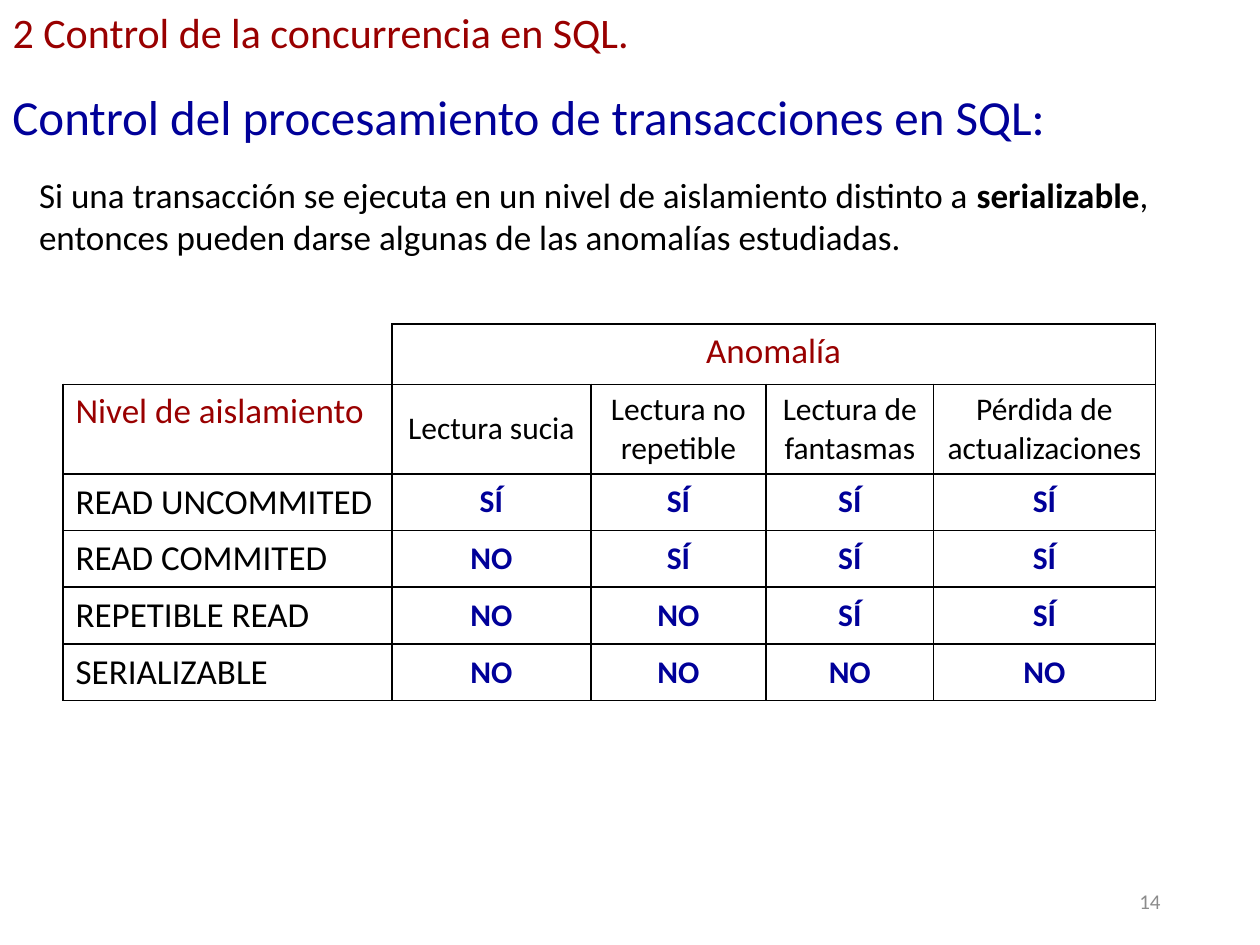
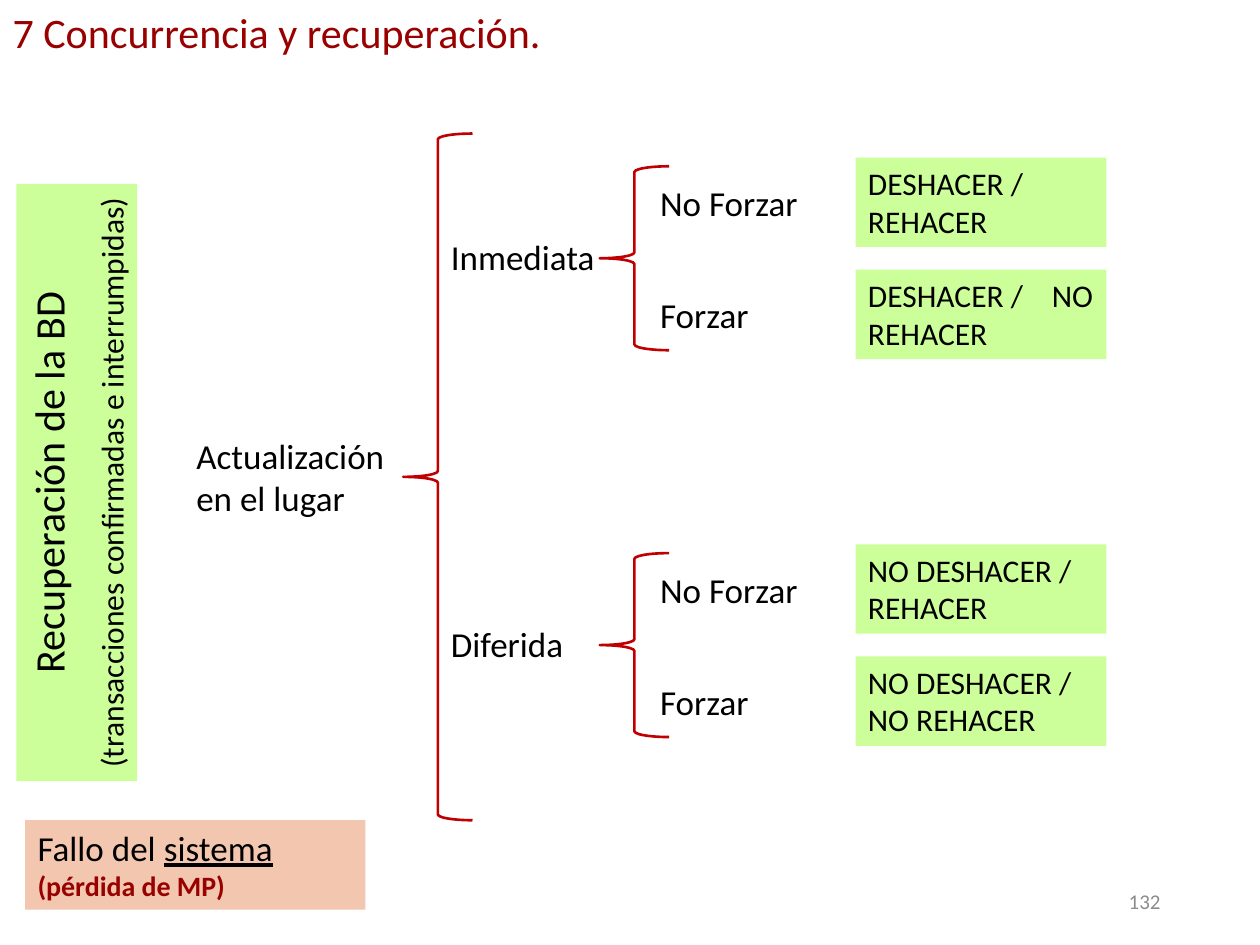
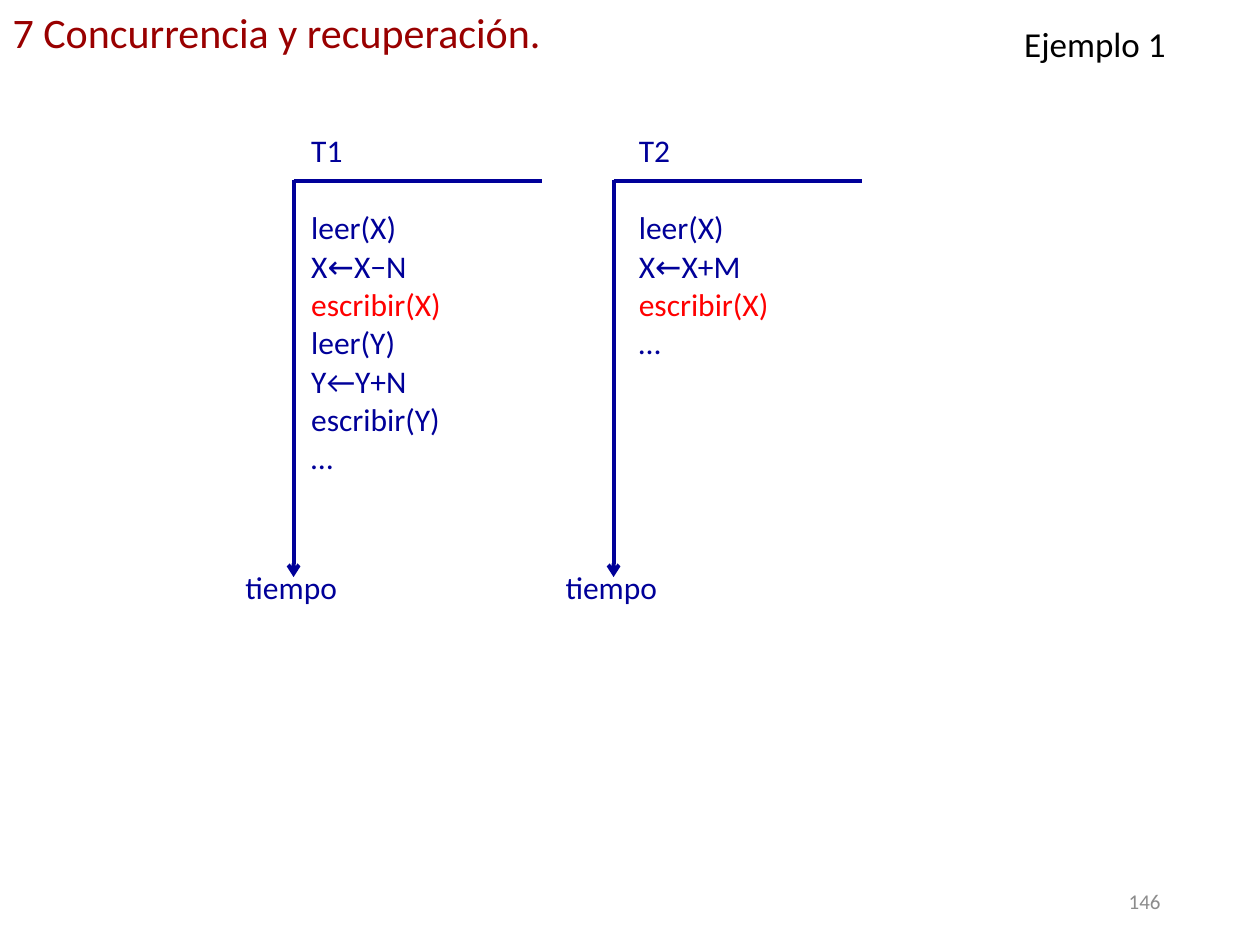
from dataclasses import dataclass

from lxml import etree
from pptx import Presentation
from pptx import util as u
from pptx.dml.color import RGBColor
from pptx.enum import shapes, text
from pptx.oxml import ns

Inches = u.Inches
ALIGN, ANCHOR = text.PP_ALIGN, text.MSO_ANCHOR
TITLE_AND_CONTENT, TWO_CONTENT, TITLE_ONLY = 1, 3, 5


@dataclass(frozen=True)
class Theme:
    font: str = "Calibri"
    arrow_font: str = "Comic Neue"
    black: str = "000000"
    white: str = "FFFFFF"
    dark_red: str = "990000"
    brace_red: str = "C00000"
    bright_red: str = "FF0000"
    blue: str = "000099"
    gray: str = "8C8C8C"
    green: str = "CCFF99"
    salmon: str = "F3C6AF"
    heading: float = 28
    title: float = 24
    body: float = 20
    detail: float = 18
    note: float = 16
    number: float = 12


THEME = Theme()


def add_xml(parent, tag, **attributes):
    return etree.SubElement(parent, ns.qn(tag), attributes)


def format_run(run, size, color, bold=False, underline=False, font=THEME.font):
    run.font.name = font
    run.font.size = u.Pt(size)
    run.font.color.rgb = RGBColor.from_string(color)
    run.font.bold = bold
    run.font.underline = underline


def write(frame, paragraphs, size=THEME.body, color=THEME.black, bold=False,
          align=ALIGN.LEFT, anchor=ANCHOR.TOP, margin=0.1, bullets_off=False, tab=None):
    """Fill a frame. A paragraph is a string, or (runs, space before in points);
    a run is a string or (string, format changes); a newline breaks the line."""
    frame.word_wrap = True
    frame.auto_size = text.MSO_AUTO_SIZE.NONE
    frame.vertical_anchor = anchor
    frame.margin_left = frame.margin_right = Inches(margin)
    frame.margin_top = frame.margin_bottom = Inches(0.05)
    for index, item in enumerate(paragraphs):
        runs, space_before = ([item], 0) if isinstance(item, str) else item
        paragraph = frame.add_paragraph() if index else frame.paragraphs[0]
        paragraph.alignment = align
        paragraph.space_before = u.Pt(space_before)
        properties = paragraph._p.get_or_add_pPr()
        if bullets_off:
            properties.set("marL", "0")
            properties.set("indent", "0")
            add_xml(properties, "a:buNone")
        if tab:
            tabs = add_xml(properties, "a:tabLst")
            add_xml(tabs, "a:tab", pos=str(Inches(tab)), algn="l")
        for part in runs:
            content, changes = (part, {}) if isinstance(part, str) else part
            for line_index, line in enumerate(content.split("\n")):
                if line_index:
                    paragraph.add_line_break()
                if line:
                    run = paragraph.add_run()
                    run.text = line
                    format_run(run, **{"size": size, "color": color, "bold": bold, **changes})


def set_borders(cell, sides):
    properties = cell._tc.get_or_add_tcPr()
    for side in "LRTB":
        line = add_xml(properties, f"a:ln{side}", w=str(u.Pt(1)))
        if side in sides:
            add_xml(add_xml(line, "a:solidFill"), "a:srgbClr", val=THEME.black)
        else:
            add_xml(line, "a:noFill")


class Deck:
    def __init__(self):
        self.presentation = Presentation()
        self.presentation.slide_width = Inches(10)
        self.presentation.slide_height = Inches(7.5)
        self.slide = None

    def start(self, title, number, layout=TITLE_ONLY):
        self.slide = self.presentation.slides.add_slide(
            self.presentation.slide_layouts[layout])
        self.place(self.slide.shapes.title, (0, 0, 5.15, 0.5))
        write(self.slide.shapes.title.text_frame, [title], THEME.title, THEME.dark_red)
        self.label((7.06, 6.95, 2.25, 0.4), [str(number)], size=THEME.number,
                   color=THEME.gray, align=ALIGN.RIGHT, anchor=ANCHOR.MIDDLE)

    def place(self, shape, box):
        shape.left, shape.top, shape.width, shape.height = map(Inches, box)

    def label(self, box, paragraphs, **style):
        shape = self.slide.shapes.add_textbox(*map(Inches, box))
        write(shape.text_frame, paragraphs, **style)

    def body(self, index, box, paragraphs, **style):
        shape = self.slide.placeholders[index]
        self.place(shape, box)
        write(shape.text_frame, paragraphs, bullets_off=True, **style)

    def panel(self, box, paragraphs, fill, rotation=0, **style):
        shape = self.slide.shapes.add_shape(
            shapes.MSO_SHAPE.RECTANGLE, *map(Inches, box))
        shape.shadow.inherit = False
        shape.fill.solid()
        shape.fill.fore_color.rgb = RGBColor.from_string(fill)
        shape.line.fill.background()
        shape.rotation = rotation
        write(shape.text_frame, paragraphs, **style)

    def brace(self, box):
        shape = self.slide.shapes.add_shape(
            shapes.MSO_SHAPE.LEFT_BRACE, *map(Inches, box))
        shape.shadow.inherit = False
        shape.fill.background()
        shape.line.color.rgb = RGBColor.from_string(THEME.brace_red)
        shape.line.width = u.Pt(1.5)

    def line(self, start, end, arrow=False):
        connector = self.slide.shapes.add_connector(
            shapes.MSO_CONNECTOR.STRAIGHT, *map(Inches, (*start, *end)))
        connector.line.color.rgb = RGBColor.from_string(THEME.blue)
        connector.line.width = u.Pt(2.25)
        if arrow:
            add_xml(connector.line._get_or_add_ln(), "a:tailEnd", type="arrow")
        add_xml(connector._element.spPr, "a:effectLst")

    def table(self, left, top, widths, heights):
        """Add a plain ruled table whose top left corner cell is open."""
        frame = self.slide.shapes.add_table(
            len(heights), len(widths),
            *map(Inches, (left, top, sum(widths), sum(heights))))
        table = frame.table
        table.first_row = table.horz_banding = False
        for column, width in zip(table.columns, widths):
            column.width = Inches(width)
        for row, height in zip(table.rows, heights):
            row.height = Inches(height)
        for index, cell in enumerate(table.iter_cells()):
            set_borders(cell, "LRTB" if index else "RB")
            cell.fill.background()
        return table


def write_cell(cell, content, anchor=ANCHOR.MIDDLE, **style):
    write(cell.text_frame, [content], **style)
    cell.vertical_anchor = anchor


def build_isolation_slide(deck):
    deck.start("2 Control de la concurrencia en SQL.", 14, TITLE_AND_CONTENT)
    deck.body(1, (0.21, 1.33, 9.51, 0.77), [([
        "Si una transacción se ejecuta en un nivel de aislamiento distinto a ",
        ("serializable", {"bold": True}),
        ", entonces pueden darse algunas de las anomalías estudiadas."], 0)])
    deck.label((0, 0.64, 9.29, 0.57),
               ["Control del procesamiento de transacciones en SQL:"],
               size=THEME.heading, color=THEME.blue)

    table = deck.table(0.5, 2.57, [2.61, 1.58, 1.39, 1.33, 1.76],
                       [0.48, 0.7] + [0.45] * 4)
    table.cell(0, 1).merge(table.cell(0, 4))
    write_cell(table.cell(0, 1), "Anomalía", ANCHOR.TOP,
               color=THEME.dark_red, align=ALIGN.CENTER)
    write_cell(table.cell(1, 0), "Nivel de aislamiento", ANCHOR.TOP, color=THEME.dark_red)
    anomalies = ["Lectura sucia", "Lectura no\nrepetible", "Lectura de\nfantasmas",
                 "Pérdida de actualizaciones"]
    for column, anomaly in enumerate(anomalies, 1):
        write_cell(table.cell(1, column), anomaly, size=THEME.detail, align=ALIGN.CENTER)
    levels = ["READ UNCOMMITED", "READ COMMITED", "REPETIBLE READ", "SERIALIZABLE"]
    prevented_counts = [0, 1, 2, 4]
    for row, (level, prevented) in enumerate(zip(levels, prevented_counts), 2):
        write_cell(table.cell(row, 0), level)
        for column in range(1, 5):
            write_cell(table.cell(row, column), "NO" if column <= prevented else "SÍ",
                       size=THEME.detail, color=THEME.blue, bold=True, align=ALIGN.CENTER)


def build_recovery_slide(deck):
    deck.start("7 Concurrencia y recuperación.", 132)
    deck.label((1.46, 3.4, 1.95, 0.77), ["Actualización en el lugar"])
    deck.brace((3.2, 1.06, 0.55, 5.45))
    branches = [
        ("Inmediata", 1.32, ["DESHACER /\nREHACER", "DESHACER /\tNO\nREHACER"]),
        ("Diferida", 4.39, ["NO DESHACER /\nREHACER", "NO DESHACER /\nNO REHACER"]),
    ]
    for update, top, actions in branches:
        deck.label((3.48, top + 0.5, 1.63, 0.44), [update])
        deck.brace((4.76, top, 0.55, 1.46))
        for row, (policy, action) in enumerate(zip(["No Forzar", "Forzar"], actions)):
            row_top = top - 0.07 + row * 0.89
            deck.label((5.14, row_top + 0.14, 1.45, 0.44), [policy])
            deck.panel((6.79, row_top, 1.99, 0.71), [action], THEME.green,
                       size=THEME.detail, tab=1.46)
    deck.panel((0.2, 6.51, 2.7, 0.71), [([
        "Fallo del ", ("sistema", {"underline": True}),
        ("\n(pérdida de MP)",
         {"size": THEME.note, "color": THEME.dark_red, "bold": True})], 0)],
        THEME.salmon)
    deck.panel((-1.76, 3.35, 4.74, 0.96), [
        "Recuperación de la BD",
        ([("(transacciones confirmadas e interrumpidas)", {"size": THEME.detail})], 11)],
        THEME.green, rotation=270, size=THEME.title, align=ALIGN.CENTER)


def build_example_slide(deck):
    deck.start("7 Concurrencia y recuperación.", 146, TWO_CONTENT)
    deck.label((8.03, 0.13, 1.49, 0.44), ["Ejemplo 1"])
    arrow = ("←", {"font": THEME.arrow_font})
    write_x = ("escribir(X)", {"color": THEME.bright_red})
    schedules = [
        (1, 2.33, 2.47, 2.83, "T1",
         [["X", arrow, "X−N"], [write_x], ["leer(Y)"], ["Y←Y+N"], ["escribir(Y)"], ["…"]]),
        (2, 4.87, 5.07, 1.92, "T2", [["X", arrow, "X+M"], [write_x], ["…"]]),
    ]
    for index, axis, left, height, name, steps in schedules:
        deck.panel((axis - 0.48, 4.46, 0.96, 0.4), ["tiempo"], THEME.white,
                   size=THEME.detail, color=THEME.blue)
        deck.line((axis, 1.43), (axis, 4.58), arrow=True)
        deck.line((axis, 1.44), (axis + 1.97, 1.44))
        paragraphs = [name, (["leer(X)"], 22.5)] + [(step, 0.3) for step in steps]
        deck.body(index, (left, 0.99, 1.76, height), paragraphs,
                  size=THEME.detail, color=THEME.blue, margin=0)


def main():
    deck = Deck()
    build_isolation_slide(deck)
    build_recovery_slide(deck)
    build_example_slide(deck)
    deck.presentation.save("out.pptx")


if __name__ == "__main__":
    main()
